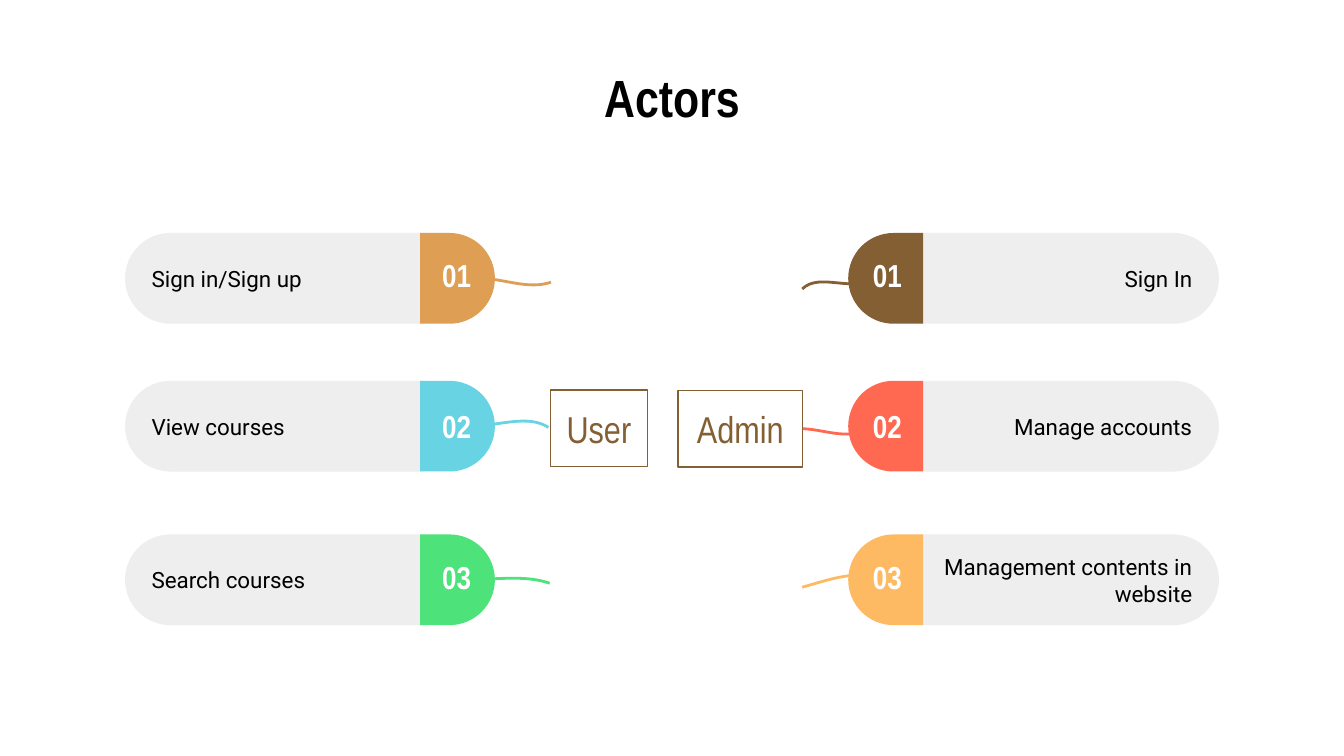
import lxml.etree
import pptx
import pptx.util
import pptx.dml.color
import pptx.enum.shapes
import pptx.enum.text
import pptx.oxml.ns

Pt = pptx.util.Pt
RGB = pptx.dml.color.RGBColor
KIND = pptx.enum.shapes.MSO_SHAPE
ALIGN = pptx.enum.text.PP_ALIGN
ANCHOR = pptx.enum.text.MSO_ANCHOR
qn = pptx.oxml.ns.qn

BLACK = RGB(0x00, 0x00, 0x00)
WHITE = RGB(0xFF, 0xFF, 0xFF)
GREY = RGB(0xEE, 0xEE, 0xEE)
BROWN = RGB(0x84, 0x5F, 0x34)
TAN = RGB(0xDE, 0x9E, 0x54)
CYAN = RGB(0x68, 0xD3, 0xE3)
GREEN = RGB(0x4E, 0xE2, 0x7A)
CORAL = RGB(0xFF, 0x69, 0x52)
AMBER = RGB(0xFE, 0xBA, 0x63)

WIDE, HIGH = 720, 405
PILL_X, PILL_W, PILL_H = 67, 182.2, 48.6
CAP_X, CAP_W = 225, 40.1
NUM_X, NUM_W = 225.9, 37.4

TITLE = {"name": "Arial Narrow", "size": Pt(28), "bold": True}
LABEL = {"name": "Roboto", "size": Pt(12), "bold": False}
NUMBER = {"name": "Arial Narrow", "size": Pt(17), "bold": True}
ACTOR = {"name": "Arial Narrow", "size": Pt(20), "bold": False}
FRAME = {"word_wrap": True, "auto_size": pptx.enum.text.MSO_AUTO_SIZE.NONE,
         "margin_left": Pt(7.2), "margin_right": Pt(7.2),
         "margin_top": Pt(7.2), "margin_bottom": Pt(7.2)}

# Rounded end of a pill, from its flat top corner
CAP = [("moveTo", [(0, 0)]),
       ("lnTo", [(0, PILL_H)]),
       ("lnTo", [(15.8, PILL_H)]),
       ("cubicBezTo", [(29.2, 48.6), (CAP_W, 37.7), (CAP_W, 24.3)]),
       ("cubicBezTo", [(CAP_W, 17.9), (37.5, 11.7), (33, 7.1)]),
       ("cubicBezTo", [(28.4, 2.6), (22.2, 0), (15.8, 0)]),
       ("close", [])]


def write(shape, text, style, color, align, anchor=ANCHOR.MIDDLE):
    """Fill a shape with one formatted paragraph and return it."""
    frame = shape.text_frame
    for key, value in FRAME.items():
        setattr(frame, key, value)
    frame.vertical_anchor = anchor
    para = frame.paragraphs[0]
    para.alignment = align
    run = para.add_run()
    run.text = text
    for key, value in style.items():
        setattr(run.font, key, value)
    run.font.color.rgb = color
    return para


def trace(steps, left, top, right, low):
    """Draw an outline with true curves inside the given bounds."""
    pen = shapes.build_freeform(Pt(left), Pt(top))
    pen.add_line_segments([(Pt(right), Pt(low))], close=False)
    shape = pen.convert_to_shape()
    shape.shadow.inherit = False
    track = next(shape.element.iter(qn("a:path")))
    for old in list(track):
        track.remove(old)
    for verb, dots in steps:
        node = lxml.etree.SubElement(track, qn("a:" + verb))
        for x, y in dots:
            dot = lxml.etree.SubElement(node, qn("a:pt"))
            dot.set("x", str(Pt(x - left)))
            dot.set("y", str(Pt(y - top)))
    return shape


deck = pptx.Presentation()
deck.slide_width, deck.slide_height = Pt(WIDE), Pt(HIGH)
slide = deck.slides.add_slide(deck.slide_layouts[5])
shapes = slide.shapes

# Title
title = shapes.title
title.left, title.top, title.width, title.height = Pt(24.5), Pt(28.8), Pt(671), Pt(45.4)
write(title, "Actors", TITLE, BLACK, ALIGN.CENTER)

# Rows: top, number top, then label, colour and curve for each side
rows = [
    (124.8, 130,
     ("Sign in/Sign up", TAN, [(256.3, 149), (269.3, 149), (283, 155.5), (295.2, 151.2)]),
     ("Sign In", BROWN, [(429.8, 154.8), (439.2, 145.4), (458.6, 157.7), (468, 148.3)])),
    (204, 210.7,
     ("View courses", CYAN, [(253.4, 228.2), (267.1, 228.2), (283, 221.8), (293.8, 229)]),
     ("Manage accounts", CORAL, [(429.1, 229.7), (440.6, 229.7), (454.3, 236.2), (463.7, 229.7)])),
    (286.3, 291.6,
     ("Search courses", GREEN, [(255.6, 310.3), (268.6, 310.3), (282.2, 308.2), (294.5, 312.5)]),
     ("Management contents in website", AMBER,
      [(429.8, 314.6), (442.8, 311), (457.9, 305.3), (470.9, 309.6)])),
]

for count, (top, num_top, *sides) in enumerate(rows, 1):
    for right, (label, color, curve) in enumerate(sides):
        # Grey pill with its label
        left = WIDE - PILL_X - PILL_W if right else PILL_X
        pill = shapes.add_shape(KIND.ROUNDED_RECTANGLE, Pt(left), Pt(top), Pt(PILL_W), Pt(PILL_H))
        pill.adjustments[0] = 0.5
        pill.shadow.inherit = False
        pill.fill.solid()
        pill.fill.fore_color.rgb = GREY
        pill.line.fill.background()
        para = write(pill, label, LABEL, BLACK, ALIGN.RIGHT if right else ALIGN.LEFT)
        if right:
            para._p.get_or_add_pPr().set("marL", str(Pt(9)))

        # Coloured cap, mirrored on the right side
        flat, sign = (WIDE - 0.5 - CAP_X, -1) if right else (CAP_X, 1)
        steps = [(verb, [(flat + sign * x, top + y) for x, y in dots]) for verb, dots in CAP]
        left = min(flat, flat + sign * CAP_W)
        cap = trace(steps, left, top, left + CAP_W, top + PILL_H)
        cap.fill.solid()
        cap.fill.fore_color.rgb = color
        cap.line.fill.background()

        # Curved line, bounded by its highest and lowest point
        a, b, c, d = [y for x, y in curve]
        level = [a * (1 - t) ** 3 + 3 * b * t * (1 - t) ** 2 + 3 * c * t * t * (1 - t) + d * t ** 3
                 for t in [step / 50 for step in range(51)]]
        steps = [("moveTo", curve[:1]), ("cubicBezTo", curve[1:])]
        line = trace(steps, curve[0][0], min(level), curve[3][0], max(level))
        line.fill.background()
        line.line.color.rgb = color
        line.line.width = Pt(1.5)

        # Number
        left = WIDE - NUM_X - NUM_W if right else NUM_X
        box = shapes.add_textbox(Pt(left), Pt(num_top), Pt(NUM_W), Pt(38.2))
        write(box, f"{count:02}", NUMBER, WHITE, ALIGN.CENTER, ANCHOR.TOP)

# Actor boxes
for name, left, top, width in [("User", 294.8, 208.9, 52.2), ("Admin", 363.3, 209.2, 66.7)]:
    box = shapes.add_shape(KIND.RECTANGLE, Pt(left), Pt(top), Pt(width), Pt(41))
    box.shadow.inherit = False
    box.fill.solid()
    box.fill.fore_color.rgb = WHITE
    box.line.color.rgb = BROWN
    box.line.width = Pt(0.75)
    write(box, name, ACTOR, BROWN, ALIGN.CENTER)

deck.save("out.pptx")
